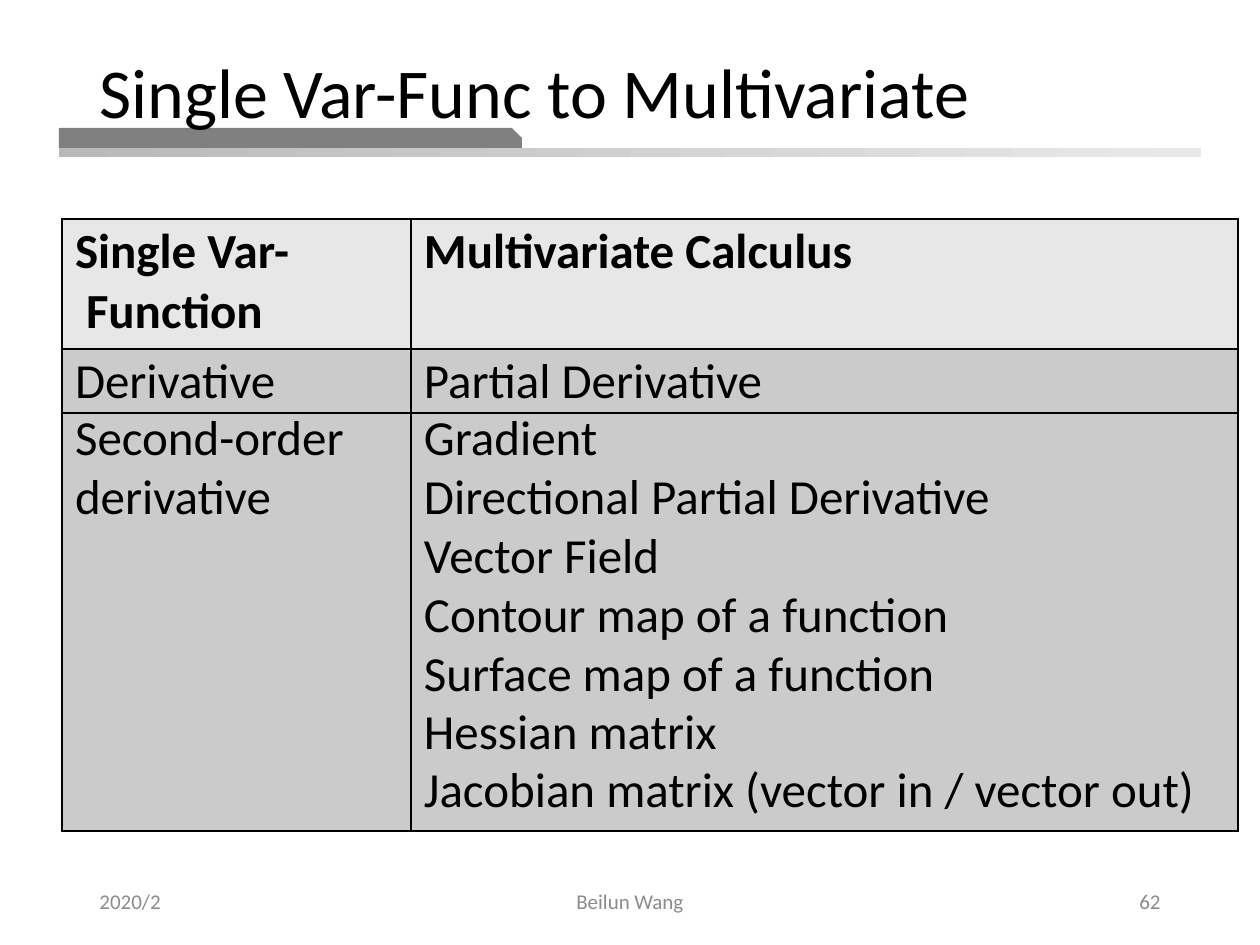
from lxml import etree
from pptx import Presentation
from pptx.dml.color import RGBColor
from pptx.enum.shapes import MSO_SHAPE
from pptx.enum.text import MSO_ANCHOR, PP_ALIGN
from pptx.oxml.ns import qn
from pptx.util import Emu, Pt

PX = 914400 / 126
FONT = "Calibri"
COLORS = {
    "text": "000000", "footer": "8C8C8C", "accent": "808080",
    "bar_start": "B8B8B8", "bar_end": "E9E9E9",
    "header": "E7E7E7", "body": "CBCBCB", "border": "000000",
}
RECTANGLE = MSO_SHAPE.RECTANGLE
SNIPPED = MSO_SHAPE.SNIP_1_RECTANGLE
LEFT, CENTER, RIGHT = PP_ALIGN.LEFT, PP_ALIGN.CENTER, PP_ALIGN.RIGHT
TOP, MIDDLE = MSO_ANCHOR.TOP, MSO_ANCHOR.MIDDLE
BORDER_WIDTH = Pt(1.5)

COLUMN_WIDTHS = [349, 827]
ROW_HEIGHTS = [130, 64, 59, 59, 59, 59, 58, 58, 66]
TALL_ROWS = 2
ROWS = [
    ("Single Var-\v Function", "Multivariate Calculus"),
    ("Derivative", "Partial Derivative"),
    ("Second-order", "Gradient"),
    ("derivative", "Directional Partial Derivative"),
    ("", "Vector Field"),
    ("", "Contour map of a function"),
    ("", "Surface map of a function"),
    ("", "Hessian matrix"),
    ("", "Jacobian matrix (vector in / vector out)"),
]
FOOTERS = [
    (87, 283, "2020/2", LEFT),
    (417, 426, "Beilun Wang", CENTER),
    (890, 283, "62", RIGHT),
]


def px(value):
    return Emu(round(value * PX))


def rgb(name):
    return RGBColor.from_string(COLORS[name])


class SlideBuilder:
    def __init__(self, presentation):
        self.slide = presentation.slides.add_slide(presentation.slide_layouts[6])

    def style(self, paragraph, size, color, bold=False):
        for run in paragraph.runs:
            run.font.name = FONT
            run.font.size = Pt(size)
            run.font.bold = bold
            run.font.color.rgb = rgb(color)

    def shape(self, kind, box, color, end_color=None):
        """Add a borderless shape; an end colour makes a left-to-right gradient."""
        shape = self.slide.shapes.add_shape(kind, *map(px, box))
        shape.shadow.inherit = False
        shape.line.fill.background()
        if end_color:
            shape.fill.gradient()
            shape.fill.gradient_angle = 0
            for stop, name in zip(shape.fill.gradient_stops, (color, end_color)):
                stop.color.rgb = rgb(name)
        else:
            shape.fill.solid()
            shape.fill.fore_color.rgb = rgb(color)
        return shape

    def text(self, box, text, size, color="text", align=LEFT, anchor=TOP):
        text_frame = self.slide.shapes.add_textbox(*map(px, box)).text_frame
        text_frame.word_wrap = True
        text_frame.vertical_anchor = anchor
        text_frame.text = text
        paragraph = text_frame.paragraphs[0]
        paragraph.alignment = align
        self.style(paragraph, size, color)
        return paragraph

    def borders(self, cell, visible):
        """Draw the sides named in visible and hide the others."""
        properties = cell._tc.get_or_add_tcPr()
        for side in "LRTB":
            line = etree.SubElement(properties, qn(f"a:ln{side}"), w=str(BORDER_WIDTH))
            if side in visible:
                fill = etree.SubElement(line, qn("a:solidFill"))
                etree.SubElement(fill, qn("a:srgbClr"), val=COLORS["border"])
            else:
                etree.SubElement(line, qn("a:noFill"))

    def cell(self, cell, text, row):
        tall = row < TALL_ROWS
        cell.margin_left = px(13)
        cell.margin_top = px(3 if tall else 0)
        cell.margin_right = cell.margin_bottom = 0
        cell.text = text
        paragraph = cell.text_frame.paragraphs[0]
        if tall:
            paragraph.space_before = Pt(1.5)
        else:
            paragraph.line_spacing = Pt(32)
        self.style(paragraph, 28, "text", bold=row == 0)
        top = "T" if row <= TALL_ROWS else ""
        bottom = "B" if row < TALL_ROWS or row == len(ROWS) - 1 else ""
        self.borders(cell, "LR" + top + bottom)
        cell.fill.solid()
        cell.fill.fore_color.rgb = rgb("body" if row else "header")

    def table(self, left, top):
        box = (left, top, sum(COLUMN_WIDTHS), sum(ROW_HEIGHTS))
        table = self.slide.shapes.add_table(
            len(ROWS), len(COLUMN_WIDTHS), *map(px, box)).table
        table.horz_banding = False
        for column, width in zip(table.columns, COLUMN_WIDTHS):
            column.width = px(width)
        for row, height in zip(table.rows, ROW_HEIGHTS):
            row.height = px(height)
        for row, texts in enumerate(ROWS):
            for column, text in enumerate(texts):
                self.cell(table.cell(row, column), text, row)


def main():
    presentation = Presentation()
    presentation.slide_width = px(1260)
    presentation.slide_height = px(945)
    builder = SlideBuilder(presentation)

    builder.shape(RECTANGLE, (59, 148, 1142, 9), "bar_start", "bar_end")
    accent = builder.shape(SNIPPED, (59, 128, 463, 20), "accent")
    accent.adjustments[0] = 0.5

    title = builder.text((87, 52, 1056, 80), "Single Var-Func to Multivariate", 40)
    title.line_spacing = 0.9

    builder.table(62, 219)
    for left, width, text, align in FOOTERS:
        builder.text((left, 876, width, 50), text, 12, "footer", align, MIDDLE)

    presentation.save("out.pptx")


if __name__ == "__main__":
    main()
